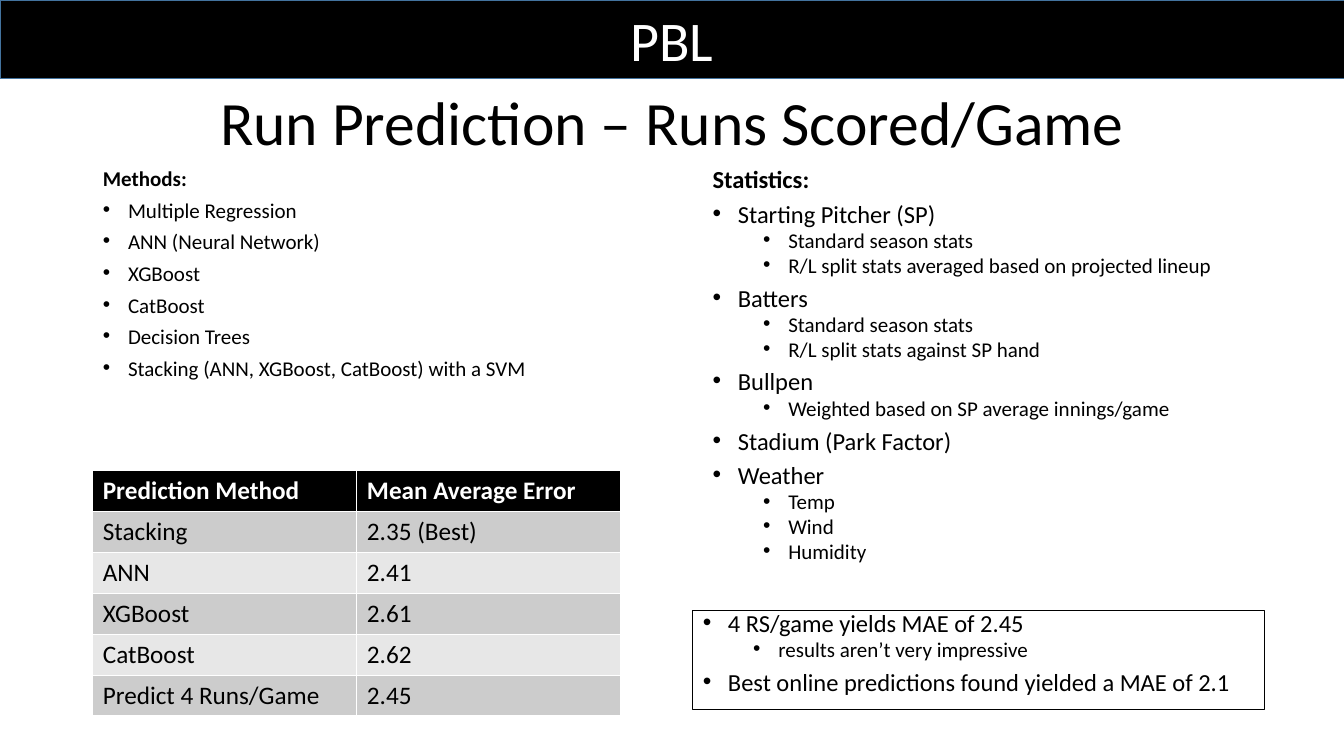
"""Build the run prediction slide with its methods, statistics and error table."""
from lxml import etree
from pptx import Presentation
from pptx.dml.color import RGBColor
from pptx.enum.shapes import MSO_SHAPE
from pptx.enum.text import MSO_ANCHOR, MSO_AUTO_SIZE, PP_ALIGN
from pptx.oxml.ns import qn
from pptx.util import Inches, Pt

RECTANGLE = MSO_SHAPE.RECTANGLE
MIDDLE, TOP = MSO_ANCHOR.MIDDLE, MSO_ANCHOR.TOP
CENTER, LEFT = PP_ALIGN.CENTER, PP_ALIGN.LEFT
NO_FIT = MSO_AUTO_SIZE.NONE
COLORS = {
    "black": "000000",
    "white": "FFFFFF",
    "bar_edge": "43739E",
    "dark_band": "CCCCCC",
    "light_band": "E7E7E7",
}
HEADING, ITEM, DETAIL = range(3)
MARGINS = {HEADING: 0, ITEM: 0.25, DETAIL: 0.75}
METHODS = [
    (HEADING, "Methods:"),
    (ITEM, "Multiple Regression"),
    (ITEM, "ANN (Neural Network)"),
    (ITEM, "XGBoost"),
    (ITEM, "CatBoost"),
    (ITEM, "Decision Trees"),
    (ITEM, "Stacking (ANN, XGBoost, CatBoost) with a SVM"),
]
STATISTICS = [
    (HEADING, "Statistics:"),
    (ITEM, "Starting Pitcher (SP)"),
    (DETAIL, "Standard season stats"),
    (DETAIL, "R/L split stats averaged based on projected lineup"),
    (ITEM, "Batters"),
    (DETAIL, "Standard season stats"),
    (DETAIL, "R/L split stats against SP hand"),
    (ITEM, "Bullpen"),
    (DETAIL, "Weighted based on SP average innings/game"),
    (ITEM, "Stadium (Park Factor)"),
    (ITEM, "Weather"),
    (DETAIL, "Temp"),
    (DETAIL, "Wind"),
    (DETAIL, "Humidity"),
]
FINDINGS = [
    (ITEM, "4 RS/game yields MAE of 2.45"),
    (DETAIL, "results aren’t very impressive"),
    (ITEM, "Best online predictions found yielded a MAE of 2.1"),
]
ERRORS = [
    ("Prediction Method", "Mean Average Error"),
    ("Stacking", "2.35 (Best)"),
    ("ANN", "2.41"),
    ("XGBoost", "2.61"),
    ("CatBoost", "2.62"),
    ("Predict 4 Runs/Game", "2.45"),
]


def rgb(name):
    """Return the named colour."""
    return RGBColor.from_string(COLORS[name])


def set_all(target, values):
    """Set every attribute in values on target."""
    for attribute, value in values.items():
        setattr(target, attribute, value)


def place(shape, left, top, width, height):
    """Move and size a shape, in inches."""
    set_all(shape, {"left": Inches(left), "top": Inches(top),
                    "width": Inches(width), "height": Inches(height)})


def write(paragraph, text, size, color="black", bold=False):
    """Put formatted text into a paragraph."""
    run = paragraph.add_run()
    run.text = text
    set_all(run.font, {"name": "Calibri", "size": Pt(size), "bold": bold})
    run.font.color.rgb = rgb(color)


def write_centered(shape, text, size, color):
    """Write one centred line in the middle of a shape."""
    set_all(shape.text_frame, {"word_wrap": True, "auto_size": NO_FIT,
                               "vertical_anchor": MIDDLE})
    paragraph = shape.text_frame.paragraphs[0]
    paragraph.alignment = CENTER
    write(paragraph, text, size, color)
    return paragraph


def set_bullet(paragraph, kind):
    """Give a paragraph the indent and bullet of its kind."""
    properties = paragraph._p.get_or_add_pPr()
    hanging = 0 if kind == HEADING else -0.25
    properties.set("marL", str(Inches(MARGINS[kind])))
    properties.set("indent", str(Inches(hanging)))
    if kind == HEADING:
        etree.SubElement(properties, qn("a:buNone"))
    else:
        etree.SubElement(properties, qn("a:buFont"), typeface="Arial")
        etree.SubElement(properties, qn("a:buChar"), char="•")


def fill_list(shape, entries, item_size):
    """Write headings, items and details as a tightly spaced list."""
    frame = shape.text_frame
    set_all(frame, {"word_wrap": True, "auto_size": NO_FIT,
                    "vertical_anchor": TOP})
    for index, (kind, text) in enumerate(entries):
        paragraph = frame.add_paragraph() if index else frame.paragraphs[0]
        detail = kind == DETAIL
        set_all(paragraph, {"level": int(detail), "alignment": LEFT,
                            "line_spacing": 0.7,
                            "space_before": Pt(5 if detail else 10)})
        set_bullet(paragraph, kind)
        write(paragraph, text, 15 if detail else item_size,
              bold=kind == HEADING)


def add_text_area(slide, left, top, width, height):
    """Add an empty text box, in inches."""
    return slide.shapes.add_textbox(
        Inches(left), Inches(top), Inches(width), Inches(height))


def add_banner(slide, text):
    """Add the full-width bar with the league name."""
    bar = slide.shapes.add_shape(
        RECTANGLE, 0, 0, Inches(13.33), Inches(0.78))
    bar.shadow.inherit = False
    bar.fill.solid()
    bar.fill.fore_color.rgb = rgb("black")
    bar.line.color.rgb = rgb("bar_edge")
    bar.line.width = Pt(0.5)
    league = add_text_area(slide, 0, 0, 13.33, 0.77)
    write_centered(league, text, 40, "white")


def add_error_table(slide):
    """Add the table of mean errors with alternating bands."""
    table = slide.shapes.add_table(
        len(ERRORS), 2, Inches(0.92), Inches(4.67),
        Inches(5.24), Inches(2.4)).table
    for row, values in enumerate(ERRORS):
        header = row == 0
        band = "dark_band" if row % 2 else "light_band"
        for column, text in enumerate(values):
            cell = table.cell(row, column)
            cell.fill.solid()
            cell.fill.fore_color.rgb = rgb("black" if header else band)
            write(cell.text_frame.paragraphs[0], text, 18,
                  "white" if header else "black", header)


def main():
    """Build the slide and save it."""
    deck = Presentation()
    set_all(deck, {"slide_width": Inches(13.33), "slide_height": Inches(7.5)})
    slide = deck.slides.add_slide(deck.slide_layouts[3])
    title, methods, findings = slide.placeholders

    place(title, 0.92, 0.52, 11.5, 1.45)
    heading = write_centered(
        title, "Run Prediction – Runs Scored/Game", 44, "black")
    heading.line_spacing = 0.9

    place(methods, 0.92, 1.66, 5.67, 3.06)
    fill_list(methods, METHODS, 15)

    place(findings, 6.87, 6.06, 5.67, 0.98)
    findings.line.color.rgb = rgb("black")
    findings.line.width = Pt(0.75)
    fill_list(findings, FINDINGS, 17.5)

    add_banner(slide, "PBL")
    statistics = add_text_area(slide, 6.97, 1.66, 5.67, 4.21)
    fill_list(statistics, STATISTICS, 17.5)
    add_error_table(slide)
    deck.save("out.pptx")


main()
